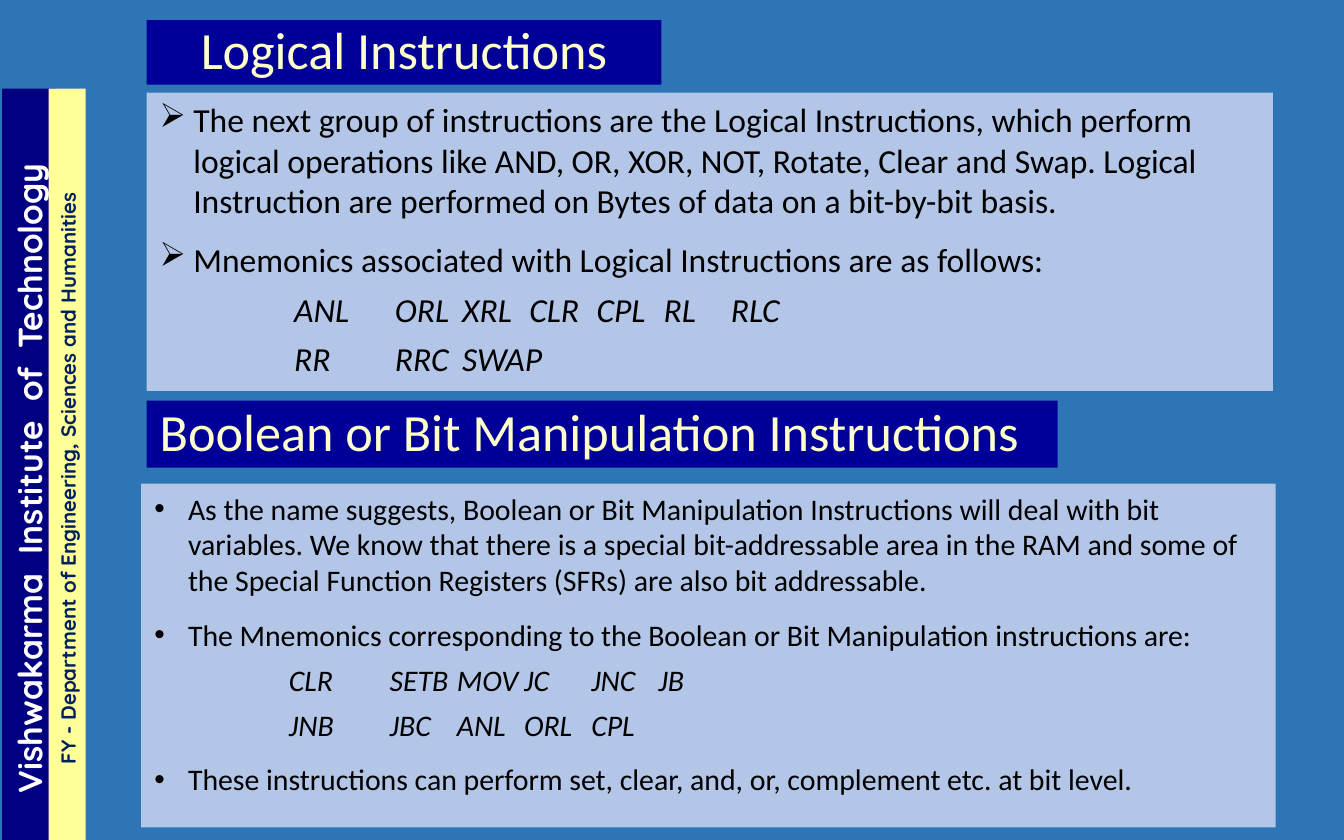
"""Build a slide on logical and Boolean (bit manipulation) instructions."""
import pptx
import pptx.dml.color
import pptx.enum.shapes
import pptx.enum.text
import pptx.oxml.ns
import pptx.util
from lxml import etree

Cm, Pt = pptx.util.Cm, pptx.util.Pt
ALIGN = pptx.enum.text.PP_ALIGN
ANCHOR = pptx.enum.text.MSO_ANCHOR
COLORS = {
    "background": "2E75B5", "panel": "B3C6E7", "title": "000099",
    "title_text": "FFFFCC", "navy": "000080", "yellow": "FFFF99",
    "department": "002060", "white": "FFFFFF", "black": "000000",
}
ARROW = ("Ø", "Wingdings")
DOT = ("•", "Arial")

LOGICAL = [
    "The next group of instructions are the Logical Instructions, which perform logical "
    "operations like AND, OR, XOR, NOT, Rotate, Clear and Swap. Logical Instruction are "
    "performed on Bytes of data on a bit-by-bit basis.",
    "Mnemonics associated with Logical Instructions are as follows:",
    ["ANL", "ORL", "XRL", "CLR", "CPL", "RL", "RLC"],
    ["RR", "RRC", "SWAP"],
]
BOOLEAN = [
    "As the name suggests, Boolean or Bit Manipulation Instructions will deal with bit "
    "variables. We know that there is a special bit-addressable area in the RAM and some of "
    "the Special Function Registers (SFRs) are also bit addressable.",
    "The Mnemonics corresponding to the Boolean or Bit Manipulation instructions are:",
    ["CLR", "SETB", "MOV", "JC", "JNC", "JB"],
    ["JNB", "JBC", "ANL", "ORL", "CPL"],
    "These instructions can perform set, clear, and, or, complement etc. at bit level.",
]


def rgb(name):
    return pptx.dml.color.RGBColor.from_string(COLORS[name])


def add_box(s, left, top, width, height, fill, anchor):
    sp = s.shapes.add_shape(pptx.enum.shapes.MSO_SHAPE.RECTANGLE,
                            Cm(left), Cm(top), Cm(width), Cm(height))
    sp.shadow.inherit = False
    sp.fill.solid()
    sp.fill.fore_color.rgb = rgb(fill)
    sp.line.fill.background()
    sp.text_frame.word_wrap = True
    sp.text_frame.vertical_anchor = anchor
    return sp


def add_run(p, text, size, color, font="Calibri", bold=False, italic=False):
    r = p.add_run()
    r.text = text
    r.font.name = font
    r.font.size = Pt(size)
    r.font.bold = bold
    r.font.italic = italic
    r.font.color.rgb = rgb(color)


def set_indent(p, margin):
    pPr = p._p.get_or_add_pPr()
    pPr.set("marL", str(Cm(margin)))
    pPr.set("indent", str(-Cm(0.635)))
    return pPr


def set_bullet(pPr, char, font):
    qn = pptx.oxml.ns.qn
    clr = etree.SubElement(pPr, qn("a:buClr"))
    etree.SubElement(clr, qn("a:srgbClr"), val=COLORS["black"])
    etree.SubElement(pPr, qn("a:buFont"), typeface=font)
    etree.SubElement(pPr, qn("a:buChar"), char=char)


def add_title(s, left, top, width, height, text, align):
    sp = add_box(s, left, top, width, height, "title", ANCHOR.MIDDLE)
    p = sp.text_frame.paragraphs[0]
    p.alignment = align
    p.line_spacing = 0.9
    add_run(p, text, 28, "title_text")


def add_panel(s, left, top, width, height, items, bullet, size):
    tf = add_box(s, left, top, width, height, "panel", ANCHOR.TOP).text_frame
    for i, item in enumerate(items):
        p = tf.add_paragraph() if i else tf.paragraphs[0]
        p.alignment = ALIGN.LEFT
        mnemonics = isinstance(item, list)
        if mnemonics:
            p.level = 2
            set_indent(p, 3.175)
        else:
            set_bullet(set_indent(p, 0.635), *bullet)
        if i:
            p.space_before = Pt(5 if mnemonics else 10)
        text = "\t".join(item) if mnemonics else item
        add_run(p, text, size, "black", italic=mnemonics)


def add_side_bar(s, center_x, thickness, fill, text, size, color):
    length, center_y = 14.73, 9.04
    sp = add_box(s, center_x - length / 2, center_y - thickness / 2,
                 length, thickness, fill, ANCHOR.TOP)
    sp.rotation = 270
    p = sp.text_frame.paragraphs[0]
    p.alignment = ALIGN.CENTER
    add_run(p, text, size, color, font="Quicksand", bold=True)


def main():
    prs = pptx.Presentation()
    prs.slide_width, prs.slide_height = Cm(25.4), Cm(15.875)
    s = prs.slides.add_slide(prs.slide_layouts[6])
    s.background.fill.solid()
    s.background.fill.fore_color.rgb = rgb("background")

    add_panel(s, 2.77, 1.75, 21.29, 5.64, LOGICAL, ARROW, 18)
    add_side_bar(s, 0.55, 1.02, "navy",
                 "Vishwakarma  Institute  of  Technology", 18, "white")
    add_side_bar(s, 1.27, 0.7, "yellow",
                 "FY - Department of Engineering, Sciences and Humanities", 11, "department")
    add_title(s, 2.77, 0.38, 9.73, 1.22, "Logical Instructions", ALIGN.CENTER)
    add_title(s, 2.77, 7.57, 17.22, 1.27,
              "Boolean or Bit Manipulation Instructions", ALIGN.LEFT)
    add_panel(s, 2.67, 9.14, 21.44, 6.5, BOOLEAN, DOT, 16)
    prs.save("out.pptx")


if __name__ == "__main__":
    main()
